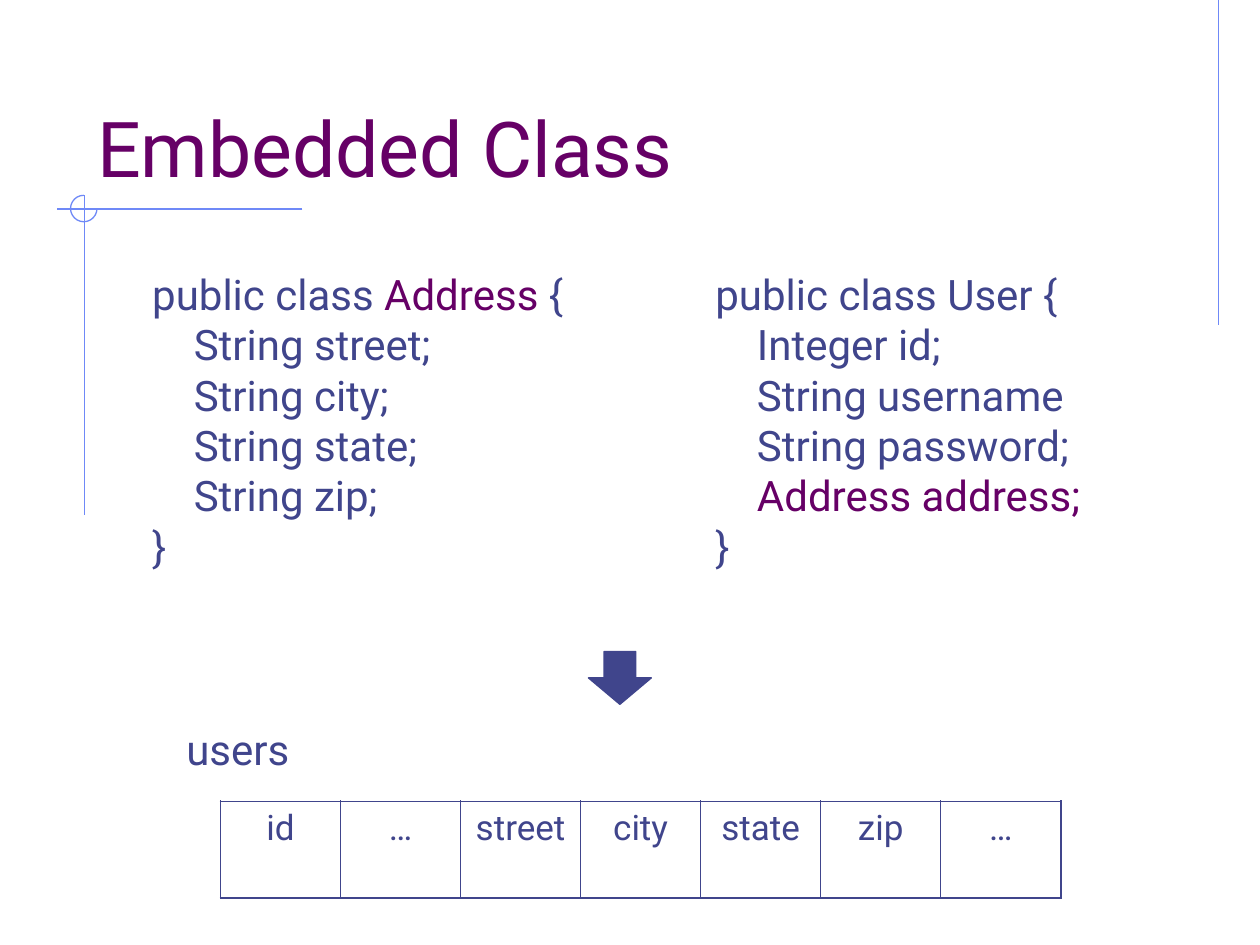
from collections import namedtuple

from lxml.etree import SubElement
from pptx import Presentation
from pptx.dml.color import RGBColor
from pptx.enum.shapes import MSO_CONNECTOR, MSO_SHAPE
from pptx.enum.text import MSO_ANCHOR, MSO_AUTO_SIZE, PP_ALIGN
from pptx.oxml import parse_xml
from pptx.oxml.ns import nsdecls, qn
from pptx.util import Emu, Pt

Box = namedtuple("Box", "left top width height")

PIXEL = 9144
CODE_INDENT = 33
INDIGO = RGBColor(0x40, 0x45, 0x8C)
PURPLE = RGBColor(0x66, 0x00, 0x66)
SKY = RGBColor(0x6F, 0x89, 0xF7)
FONT = "Roboto"
TITLE_FONT = {"name": FONT, "size": Pt(44)}
CODE_FONT = {"name": FONT, "size": Pt(24)}
CELL_FONT = {"name": FONT, "size": Pt(20)}

ADDRESS_CODE = [
    (0, [("public class ", INDIGO), ("Address", PURPLE), (" {", INDIGO)]),
    (1, [("String street;", INDIGO)]),
    (1, [("String city;", INDIGO)]),
    (1, [("String state;", INDIGO)]),
    (1, [("String zip;", INDIGO)]),
    (0, [("}", INDIGO)]),
]
USER_CODE = [
    (0, [("public class User {", INDIGO)]),
    (1, [("Integer id;", INDIGO)]),
    (1, [("String username", INDIGO)]),
    (1, [("String password;", INDIGO)]),
    (1, [("Address address;", PURPLE)]),
    (0, [("}", INDIGO)]),
]
TABLE_NAME = [(0, [("users", INDIGO)])]
USER_COLUMNS = ["id", "…", "street", "city", "state", "zip", "…"]


def px(*lengths):
    """Turn pixel lengths into EMU."""
    return [Emu(length * PIXEL) for length in lengths]


def set_attributes(target, values):
    """Set every attribute named in a dict of format values."""
    for name, value in values.items():
        setattr(target, name, value)


def add_run(paragraph, text, color, font_values):
    """Append a formatted run to a paragraph."""
    run = paragraph.add_run()
    run.text = text
    set_attributes(run.font, font_values)
    run.font.color.rgb = color


def add_rule(slide, start, end):
    """Draw one thin decorative line without a shadow."""
    connector = slide.shapes.add_connector(MSO_CONNECTOR.STRAIGHT, *px(*start, *end))
    connector.line.color.rgb = SKY
    connector.line.width = Pt(0.75)
    SubElement(connector._element.spPr, qn("a:effectLst"))


def add_ornament(slide, box):
    """Draw the right rule and the crossing rules with their open circle."""
    right, cross_x, cross_y = box.left + 922, box.left + 22, box.top + 166
    add_rule(slide, (right, box.top), (right, box.top + 258))
    add_rule(slide, (box.left + 195, cross_y), (box.left, cross_y))
    add_rule(slide, (cross_x, box.top + 155), (cross_x, box.top + box.height))
    arc = slide.shapes.add_shape(
        MSO_SHAPE.ARC, *px(cross_x - 11, box.top + 155, 21, 21))
    arc.adjustments[0] = 0
    arc.adjustments[1] = 162
    arc.shadow.inherit = False
    arc.fill.background()
    arc.line.color.rgb = SKY
    arc.line.width = Pt(0.75)


def fill_title(slide, box, text):
    """Place and format the title placeholder."""
    title = slide.shapes.title
    set_attributes(title, dict(zip(Box._fields, px(*box))))
    set_attributes(title.text_frame, {
        "vertical_anchor": MSO_ANCHOR.BOTTOM,
        "auto_size": MSO_AUTO_SIZE.NONE,
        "word_wrap": True,
    })
    paragraph = title.text_frame.paragraphs[0]
    paragraph.alignment = PP_ALIGN.LEFT
    add_run(paragraph, text, PURPLE, TITLE_FONT)


def add_text(slide, box, lines, wrap=False):
    """Add a text box of lines given as indent levels and coloured runs."""
    frame = slide.shapes.add_textbox(*px(*box)).text_frame
    set_attributes(frame, {
        "word_wrap": wrap,
        "auto_size": MSO_AUTO_SIZE.SHAPE_TO_FIT_TEXT,
    })
    for index, (level, runs) in enumerate(lines):
        paragraph = frame.add_paragraph() if index else frame.paragraphs[0]
        if level:
            properties = paragraph._p.get_or_add_pPr()
            properties.set("marL", str(level * CODE_INDENT * PIXEL))
            properties.set("indent", "0")
        for text, color in runs:
            add_run(paragraph, text, color, CODE_FONT)


def set_borders(cell, widths):
    """Give a cell borders from a dict of sides and point widths."""
    properties = cell._tc.get_or_add_tcPr()
    for index, (side, width) in enumerate(widths.items()):
        properties.insert(index, parse_xml(
            f'<a:ln{side} {nsdecls("a")} w="{Pt(width)}"><a:solidFill>'
            f'<a:srgbClr val="{INDIGO}"/></a:solidFill></a:ln{side}>'))


def add_columns_table(slide, box, names):
    """Add the one-row table of column names."""
    table = slide.shapes.add_table(1, len(names), *px(*box)).table
    set_attributes(table, {"first_row": False, "horz_banding": False})
    last = len(names) - 1
    for index, name in enumerate(names):
        table.columns[index].width = Emu(box.width * PIXEL // len(names))
        cell = table.cell(0, index)
        cell.fill.background()
        set_borders(cell, {
            "L": 1.08 if index == 0 else 0.45,
            "R": 1.08 if index == last else 0.45,
            "T": 1.08,
            "B": 1.08,
        })
        paragraph = cell.text_frame.paragraphs[0]
        set_attributes(paragraph, {"alignment": PP_ALIGN.CENTER, "space_before": Pt(5)})
        add_run(paragraph, name, INDIGO, CELL_FONT)


def add_down_arrow(slide, box):
    """Add the arrow from the classes to the table."""
    arrow = slide.shapes.add_shape(MSO_SHAPE.DOWN_ARROW, *px(*box))
    arrow.shadow.inherit = False
    arrow.fill.solid()
    arrow.fill.fore_color.rgb = INDIGO
    arrow.line.color.rgb = INDIGO
    arrow.line.width = Pt(0.75)


def main():
    """Build the slide and save it."""
    presentation = Presentation()
    width, height = px(1000, 750)
    set_attributes(presentation, {"slide_width": width, "slide_height": height})
    slide = presentation.slides.add_slide(presentation.slide_layouts[5])
    add_ornament(slide, Box(45, 0, 922, 409))
    fill_title(slide, Box(67, 33, 850, 125), "Embedded Class")
    add_text(slide, Box(111, 208, 355, 250), ADDRESS_CODE)
    add_text(slide, Box(138, 569, 105, 50), TABLE_NAME)
    add_columns_table(slide, Box(175, 636, 667, 77), USER_COLUMNS)
    add_text(slide, Box(558, 208, 383, 250), USER_CODE, wrap=True)
    add_down_arrow(slide, Box(467, 517, 50, 42))
    presentation.save("out.pptx")


if __name__ == "__main__":
    main()
